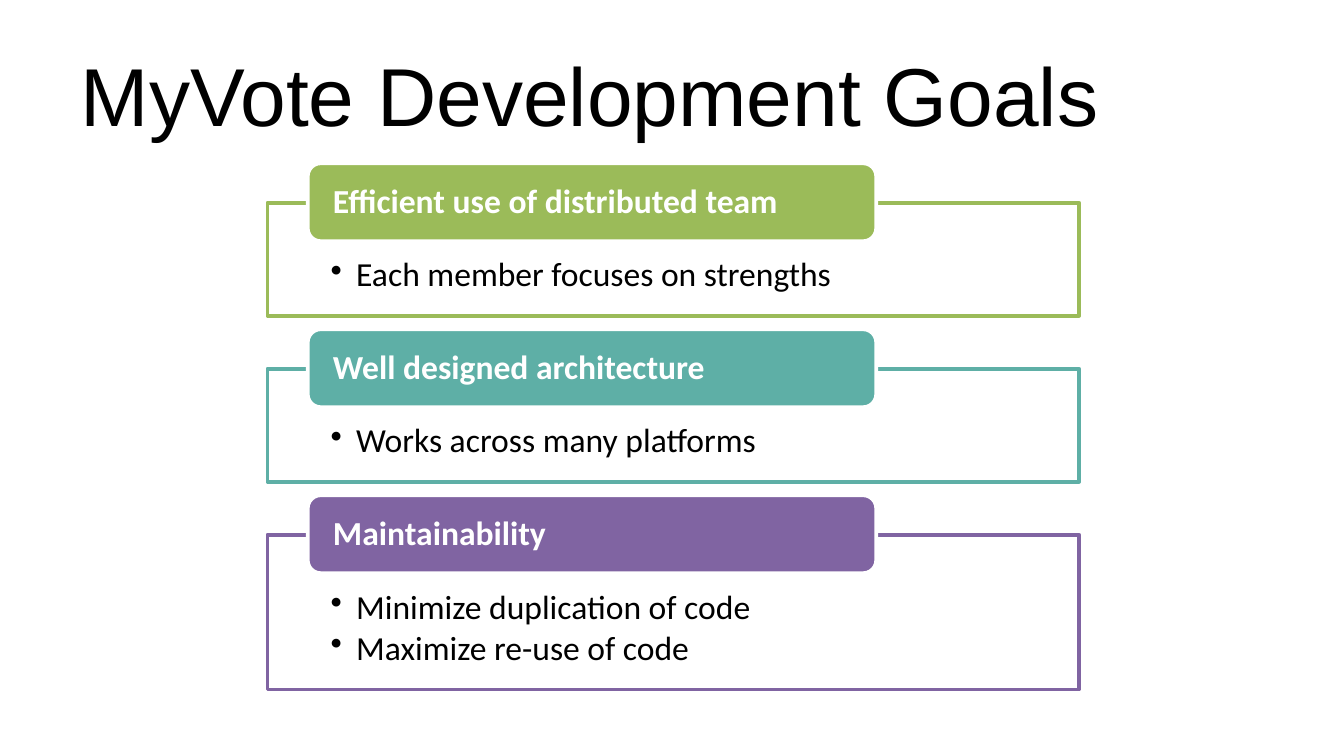
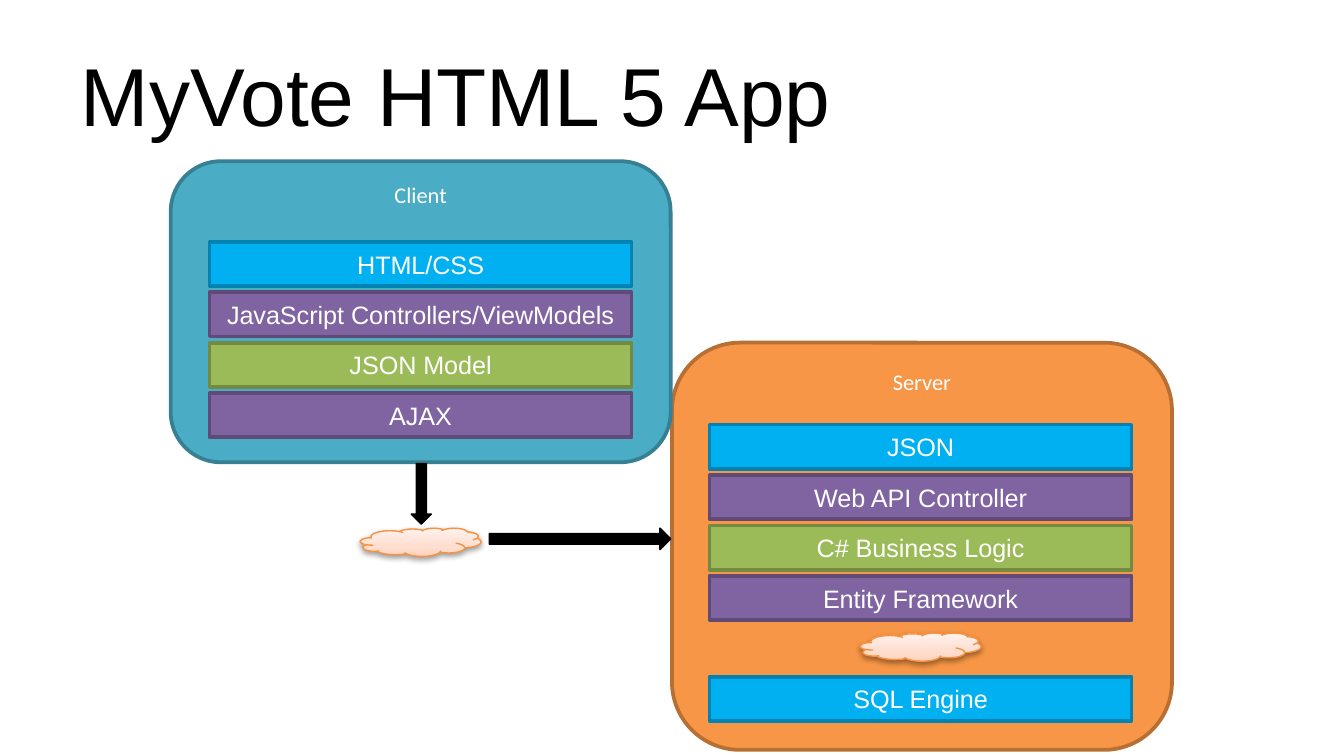
import copy
from dataclasses import dataclass

import pptx
import pptx.dml.color
import pptx.enum.shapes
import pptx.enum.text
import pptx.oxml
import pptx.oxml.ns
import pptx.util
from lxml import etree

Pt = pptx.util.Pt
SHAPE = pptx.enum.shapes.MSO_SHAPE
ALIGN = pptx.enum.text.PP_ALIGN
ANCHOR = pptx.enum.text.MSO_ANCHOR
qn = pptx.oxml.ns.qn

SLIDE_WIDTH = pptx.util.Inches(10)
SLIDE_HEIGHT = pptx.util.Inches(5.625)


@dataclass(frozen=True)
class Theme:
    heading_font: str = "Arial"
    body_font: str = "Calibri"
    title_size: float = 44
    goal_size: float = 18
    layer_size: float = 13.5
    tier_size: float = 12
    black: str = "000000"
    white: str = "FFFFFF"
    green: str = "9BBB59"
    teal: str = "5EAFA6"
    purple: str = "8064A2"
    # Fill and outline pairs
    client: tuple = ("4BACC6", "377F92")
    server: tuple = ("F79646", "B76F34")
    interface: tuple = ("00B0F0", "0082B2")
    logic: tuple = ("9BBB59", "738A42")
    plumbing: tuple = ("8064A2", "5F4A78")
    cloud_stops: tuple = ((0, "FFD2BD"), (0.35, "FFDED0"), (1, "FFF2ED"))
    cloud_line: str = "F69240"


THEME = Theme()

# Grid measures: one unit is 1 % of the slide's width, on both axes
PANEL_LEFT, PANEL_WIDTH, PANEL_TOP, PANEL_GAP = 19.9, 60.4, 15.1, 3.95
HEADER_INDENT, HEADER_RISE, HEADER_WIDTH, HEADER_HEIGHT = 3, 2.95, 42.3, 5.8
PANEL_BASE, BULLET_STEP = 5.3, 3.1
TIER_WIDTH, LAYER_WIDTH, LAYER_HEIGHT, LAYER_STEP = 37.2, 31.4, 3.3, 3.75
CLOUD_WIDTH, CLOUD_HEIGHT = 9, 2.1


def grid(units):
    return round(SLIDE_WIDTH * units / 100)


def rgb(color):
    return pptx.dml.color.RGBColor.from_string(color)


def style_font(paragraph, size, name, color, bold=False):
    font = paragraph.font
    font.size, font.name, font.bold = Pt(size), name, bold
    font.color.rgb = rgb(color)


def set_insets(text_frame, left, top, right, bottom):
    text_frame.margin_left, text_frame.margin_top = grid(left), grid(top)
    text_frame.margin_right, text_frame.margin_bottom = grid(right), grid(bottom)


def add_block(slide, kind, box, fill, line, line_width=2):
    """Add a preset shape at box = (left, top, width, height) in grid units."""
    shape = slide.shapes.add_shape(kind, *map(grid, box))
    shape.shadow.inherit = False
    shape.fill.solid()
    shape.fill.fore_color.rgb = rgb(fill)
    shape.line.color.rgb = rgb(line)
    shape.line.width = Pt(line_width)
    return shape


def write_label(shape, text, size, font, insets, align=ALIGN.CENTER,
                anchor=ANCHOR.MIDDLE, wrap=True, bold=False):
    frame = shape.text_frame
    frame.word_wrap, frame.vertical_anchor = wrap, anchor
    set_insets(frame, *insets)
    paragraph = frame.paragraphs[0]
    paragraph.text, paragraph.alignment = text, align
    style_font(paragraph, size, font, THEME.white, bold)
    return paragraph


def add_titled_slide(presentation, text):
    slide = presentation.slides.add_slide(presentation.slide_layouts[5])
    title = slide.shapes.title
    title.left, title.top, title.width, title.height = map(grid, (5, 2.3, 90, 9.4))
    frame = title.text_frame
    frame.text = text
    frame.vertical_anchor = ANCHOR.MIDDLE
    frame.auto_size = pptx.enum.text.MSO_AUTO_SIZE.NONE
    paragraph = frame.paragraphs[0]
    paragraph.alignment = ALIGN.LEFT
    style_font(paragraph, THEME.title_size, THEME.heading_font, THEME.black)
    return slide


def write_bullets(shape, items):
    frame = shape.text_frame
    frame.word_wrap, frame.vertical_anchor = True, ANCHOR.TOP
    set_insets(frame, 4.7, 4.1, 4.7, 1.4)
    for index, item in enumerate(items):
        paragraph = frame.add_paragraph() if index else frame.paragraphs[0]
        paragraph.text, paragraph.alignment = item, ALIGN.LEFT
        paragraph.line_spacing = 0.9
        paragraph.space_after = Pt(2.7)
        properties = paragraph._p.get_or_add_pPr()
        properties.set("marL", str(grid(1.9)))
        properties.set("indent", str(-grid(1.9)))
        etree.SubElement(properties, qn("a:buChar"), char="•")
        style_font(paragraph, THEME.goal_size, THEME.body_font, THEME.black)


def add_goal(slide, top, heading, items, color):
    """Add a bulleted panel with a header tab; return the next panel's top."""
    height = PANEL_BASE + BULLET_STEP * len(items)
    panel = add_block(slide, SHAPE.RECTANGLE,
                      (PANEL_LEFT, top, PANEL_WIDTH, height), THEME.white, color)
    fill_color = panel._element.spPr.find(qn("a:solidFill"))[0]
    etree.SubElement(fill_color, qn("a:alpha"), val="90000")
    write_bullets(panel, items)
    header = add_block(slide, SHAPE.ROUNDED_RECTANGLE,
                       (PANEL_LEFT + HEADER_INDENT, top - HEADER_RISE,
                        HEADER_WIDTH, HEADER_HEIGHT), color, THEME.white)
    paragraph = write_label(header, heading, THEME.goal_size, THEME.body_font,
                            (1.6, 0, 1.6, 0), align=ALIGN.LEFT, bold=True)
    paragraph.line_spacing = 0.9
    return top + height + PANEL_GAP


def add_tier(slide, name, left, top, height, colors):
    tier = add_block(slide, SHAPE.ROUNDED_RECTANGLE,
                     (left, top, TIER_WIDTH, height), *colors)
    write_label(tier, name, THEME.tier_size, THEME.body_font,
                (0.7, 0.4, 0.7, 0.4), anchor=ANCHOR.TOP)


def add_cloud(slide, left, top):
    cloud = add_block(slide, SHAPE.CLOUD, (left, top, CLOUD_WIDTH, CLOUD_HEIGHT),
                      THEME.white, THEME.cloud_line, 0.75)
    cloud.fill.gradient()
    cloud.fill.gradient_angle = 90
    properties = cloud._element.spPr
    stops = properties.find(".//" + qn("a:gsLst"))
    stops.append(copy.deepcopy(stops[0]))
    for stop, (position, color) in zip(cloud.fill.gradient_stops, THEME.cloud_stops):
        stop.position = position
        stop.color.rgb = rgb(color)
    shadow = etree.SubElement(properties.find(qn("a:effectLst")), qn("a:outerShdw"),
                              blurRad="40000", dist="20000", dir="5400000",
                              rotWithShape="0")
    shade = etree.SubElement(shadow, qn("a:srgbClr"), val=THEME.black)
    etree.SubElement(shade, qn("a:alpha"), val="38000")


def add_layers(slide, left, top, layers):
    """Stack labelled bars at an even step; a None entry becomes a cloud."""
    for index, layer in enumerate(layers):
        row_top = top + index * LAYER_STEP
        if layer is None:
            add_cloud(slide, left + (LAYER_WIDTH - CLOUD_WIDTH) / 2, row_top + 0.5)
            continue
        text, colors = layer
        bar = add_block(slide, SHAPE.RECTANGLE,
                        (left, row_top, LAYER_WIDTH, LAYER_HEIGHT), *colors)
        write_label(bar, text, THEME.layer_size, THEME.heading_font,
                    (0.6, 0.3, 0.6, 0.3), wrap=False)


def build_goals(presentation):
    slide = add_titled_slide(presentation, "MyVote Development Goals")
    goals = (
        ("Efficient use of distributed team",
         ["Each member focuses on strengths"], THEME.green),
        ("Well designed architecture",
         ["Works across many platforms"], THEME.teal),
        ("Maintainability",
         ["Minimize duplication of code", "Maximize re-use of code"], THEME.purple),
    )
    top = PANEL_TOP
    for heading, items, color in goals:
        top = add_goal(slide, top, heading, items, color)


def build_architecture(presentation):
    slide = add_titled_slide(presentation, "MyVote HTML 5 App")
    add_tier(slide, "Server", 50, 25.5, 30.3, THEME.server)
    add_tier(slide, "Client", 12.7, 12, 22.4, THEME.client)
    add_layers(slide, 15.6, 18, (
        ("HTML/CSS", THEME.interface),
        ("JavaScript Controllers/ViewModels", THEME.plumbing),
        ("JSON Model", THEME.logic),
        ("AJAX", THEME.plumbing),
    ))
    add_layers(slide, 52.8, 31.6, (
        ("JSON", THEME.interface),
        ("Web API Controller", THEME.plumbing),
        ("C# Business Logic", THEME.logic),
        ("Entity Framework", THEME.plumbing),
        None,
        ("SQL Engine", THEME.interface),
    ))
    add_cloud(slide, 26.8, 39.3)
    for kind, box in ((SHAPE.DOWN_ARROW, (30.6, 34.5, 1.5, 4.5)),
                      (SHAPE.RIGHT_ARROW, (36.4, 39.3, 13.5, 1.6))):
        add_block(slide, kind, box, THEME.black, THEME.black, 0.75)


def main():
    presentation = pptx.Presentation()
    presentation.slide_width = SLIDE_WIDTH
    presentation.slide_height = SLIDE_HEIGHT
    build_goals(presentation)
    build_architecture(presentation)
    presentation.save("out.pptx")


if __name__ == "__main__":
    main()
